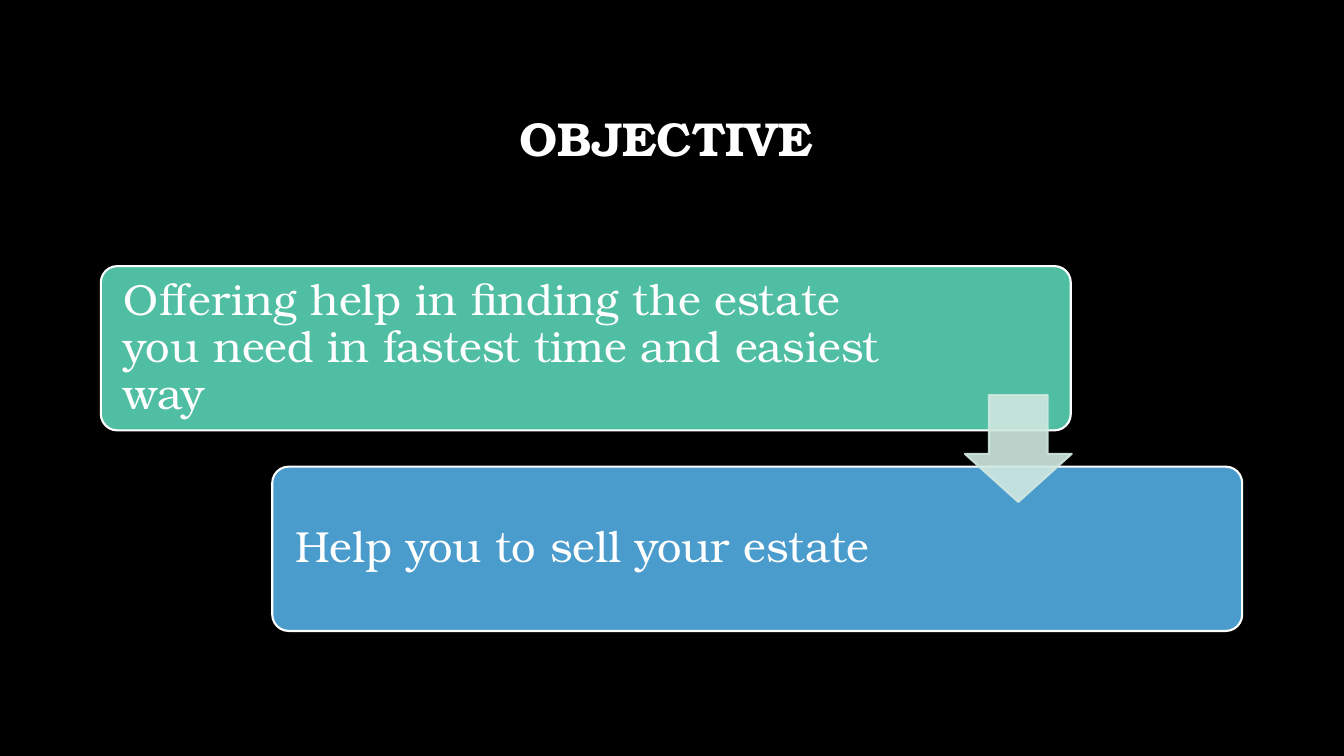
import pptx
import pptx.util
import pptx.dml.color
import pptx.enum.shapes
import pptx.enum.text
import pptx.oxml.ns
import lxml.etree
from dataclasses import dataclass

Inches = pptx.util.Inches
Shape = pptx.enum.shapes.MSO_SHAPE
Align = pptx.enum.text.PP_ALIGN


@dataclass(frozen=True)
class Theme:
    font: str = "TeX Gyre Bonum"
    background: str = "000000"
    text: str = "FFFFFF"
    green: str = "50BEA3"
    blue: str = "4A9CCC"
    arrow: str = "D0E8E0"
    title_size: int = 34
    body_size: int = 31
    line_width: float = 1.5


theme = Theme()


def write(frame, text, size, bold=False, align=Align.LEFT, left=0.1, right=0.1):
    frame.word_wrap = True
    frame.auto_size = pptx.enum.text.MSO_AUTO_SIZE.NONE
    frame.vertical_anchor = pptx.enum.text.MSO_ANCHOR.MIDDLE
    frame.margin_left, frame.margin_right = Inches(left), Inches(right)
    para = frame.paragraphs[0]
    para.alignment = align
    para.line_spacing = 0.9
    span = para.add_run()
    span.text = text
    span.font.name = theme.font
    span.font.size = pptx.util.Pt(size)
    span.font.bold = bold
    span.font.color.rgb = pptx.dml.color.RGBColor.from_string(theme.text)


def add_block(kind, place, adjustments, fill, line):
    block = page.shapes.add_shape(kind, *map(Inches, place))
    for index, value in enumerate(adjustments):
        block.adjustments[index] = value
    block.shadow.inherit = False
    block.fill.solid()
    block.fill.fore_color.rgb = pptx.dml.color.RGBColor.from_string(fill)
    block.line.color.rgb = pptx.dml.color.RGBColor.from_string(line)
    block.line.width = pptx.util.Pt(theme.line_width)
    return block


deck = pptx.Presentation()
deck.slide_width, deck.slide_height = Inches(13.33), Inches(7.5)
page = deck.slides.add_slide(deck.slide_layouts[5])
page.background.fill.solid()
page.background.fill.fore_color.rgb = pptx.dml.color.RGBColor.from_string(theme.background)

title = page.shapes.title
title.left, title.top, title.width, title.height = map(Inches, (1, 0.67, 11.32, 1.45))
write(title.text_frame, "OBJECTIVE", theme.title_size, bold=True, align=Align.CENTER, right=0.2)

objectives = [
    ("Offering help in finding the estate you need in fastest time and easiest way", theme.green),
    ("Help you to sell your estate", theme.blue),
]
for step, (objective, color) in enumerate(objectives):
    place = (1 + 1.7 * step, 2.64 + 1.99 * step, 9.62, 1.63)
    box = add_block(Shape.ROUNDED_RECTANGLE, place, [0.1], color, theme.text)
    write(box.text_frame, objective, theme.body_size, left=0.18, right=1.76)

arrow = add_block(Shape.DOWN_ARROW, (9.57, 3.92, 1.06, 1.06), [0.45, 0.55], theme.arrow, theme.arrow)
arrow.adjustments[0], arrow.adjustments[1] = 0.55, 0.45
for color in arrow.element.spPr.iter(pptx.oxml.ns.qn("a:srgbClr")):
    lxml.etree.SubElement(color, pptx.oxml.ns.qn("a:alpha"), val="90000")

deck.save("out.pptx")
